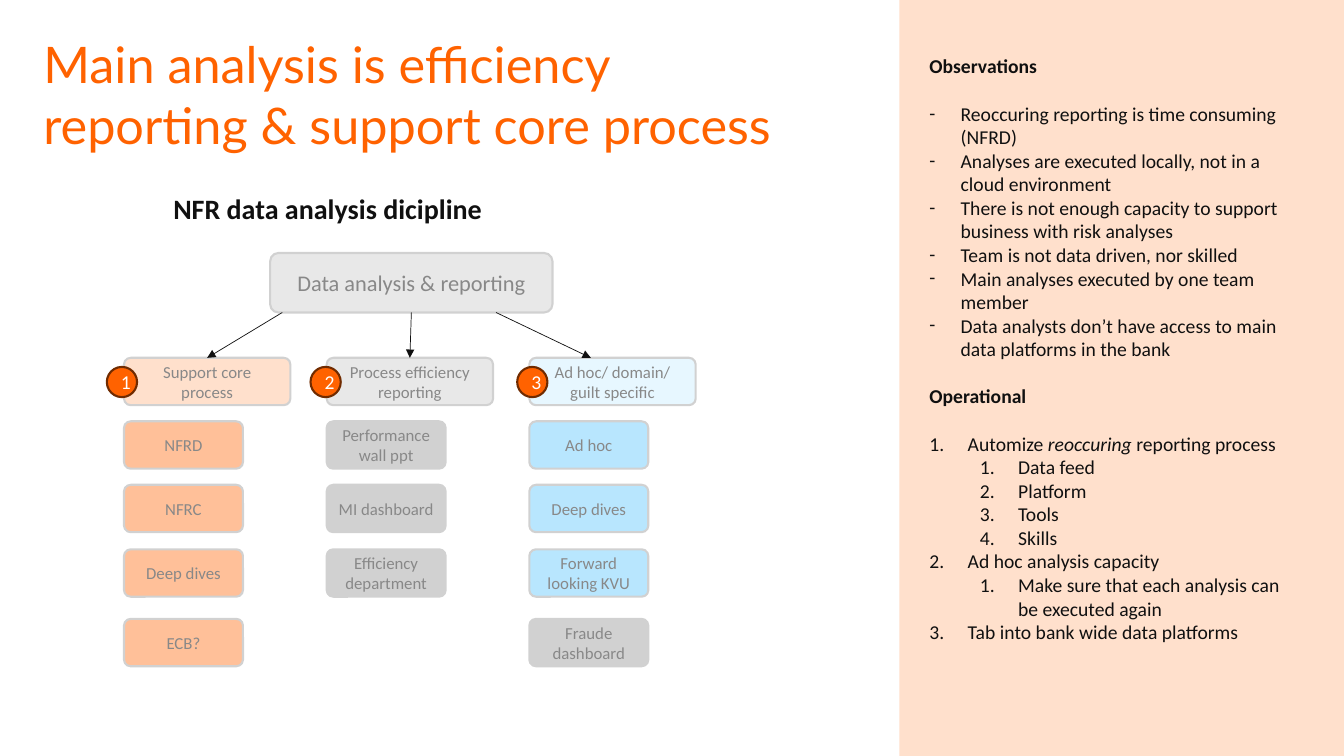
from dataclasses import dataclass

from lxml import etree
from pptx import Presentation
from pptx import util as u
from pptx.dml.color import RGBColor
from pptx.enum import shapes, text
from pptx.oxml.ns import qn


@dataclass(frozen=True)
class Theme:
    title_font: str = "Lato"
    font: str = "Calibri"
    orange: str = "FF6200"
    orange_mid: str = "FFC099"
    orange_pale: str = "FFE0CC"
    brown: str = "702B00"
    blue_mid: str = "B8E6FE"
    blue_pale: str = "E7F7FF"
    grey: str = "D1D1D1"
    grey_pale: str = "E8E8E8"
    grey_text: str = "888888"
    ink: str = "101010"
    white: str = "FFFFFF"
    title: int = 36
    heading: int = 20
    root: int = 16
    body: int = 14
    small: int = 12
    line_gap: int = 17


class SlideBuilder:
    def __init__(self, slide, theme):
        self.slide = slide
        self.theme = theme

    def style(self, paragraph, size, color, bold=False, font=None):
        for run in paragraph.runs:
            run.font.name = font or self.theme.font
            run.font.size = u.Pt(size)
            run.font.bold = bold
            run.font.color.rgb = RGBColor.from_string(color)

    def title(self, wording, left, top, width, height):
        title = self.slide.shapes.title
        title.left, title.top = u.Inches(left), u.Inches(top)
        title.width, title.height = u.Inches(width), u.Inches(height)
        frame = title.text_frame
        frame.text = wording
        frame.word_wrap = True
        frame.vertical_anchor = text.MSO_ANCHOR.TOP
        frame.paragraphs[0].alignment = text.PP_ALIGN.LEFT
        self.style(frame.paragraphs[0], self.theme.title, self.theme.orange,
                   font=self.theme.title_font)

    def text_box(self, left, top, width, height, anchor=text.MSO_ANCHOR.TOP):
        box = self.slide.shapes.add_textbox(
            u.Inches(left), u.Inches(top), u.Inches(width), u.Inches(height))
        box.text_frame.word_wrap = True
        box.text_frame.vertical_anchor = anchor
        return box.text_frame

    def heading(self, wording, left, top, width, height):
        frame = self.text_box(left, top, width, height, text.MSO_ANCHOR.BOTTOM)
        frame.text = wording
        self.style(frame.paragraphs[0], self.theme.heading, self.theme.ink, bold=True)

    def shape(self, kind, left, top, width, height, fill, line=None):
        shape = self.slide.shapes.add_shape(
            kind, u.Inches(left), u.Inches(top), u.Inches(width), u.Inches(height))
        shape.shadow.inherit = False
        shape.fill.solid()
        shape.fill.fore_color.rgb = RGBColor.from_string(fill)
        if line:
            shape.line.color.rgb = RGBColor.from_string(line)
            shape.line.width = u.Pt(1.5)
        else:
            shape.line.fill.background()
        return shape

    def label(self, shape, wording, size, color, inset_left, inset_right):
        frame = shape.text_frame
        frame.text = wording
        frame.word_wrap = True
        frame.vertical_anchor = text.MSO_ANCHOR.MIDDLE
        frame.margin_left, frame.margin_right = u.Inches(inset_left), u.Inches(inset_right)
        frame.margin_top = frame.margin_bottom = 0
        frame.paragraphs[0].alignment = text.PP_ALIGN.CENTER
        self.style(frame.paragraphs[0], size, color)

    def box(self, wording, left, top, width, height, fill, size, inset=0.05):
        box = self.shape(shapes.MSO_SHAPE.ROUNDED_RECTANGLE, left, top, width, height,
                         fill, self.theme.grey)
        box.adjustments[0] = 0.14
        self.label(box, wording, size, self.theme.grey_text, inset, inset)
        return box

    def badge(self, number, left, top, size):
        badge = self.shape(shapes.MSO_SHAPE.OVAL, left, top, size, size,
                           self.theme.orange, self.theme.brown)
        self.label(badge, str(number), self.theme.body, self.theme.white, 0.08, 0)

    def arrow(self, start, end):
        arrow = self.slide.shapes.add_connector(
            shapes.MSO_CONNECTOR.STRAIGHT, *(u.Inches(v) for v in (*start, *end)))
        arrow.line.color.rgb = RGBColor.from_string(self.theme.ink)
        arrow.line.width = u.Pt(0.5)
        etree.SubElement(arrow.line._get_or_add_ln(), qn("a:tailEnd"), type="triangle")
        etree.SubElement(arrow._element.spPr, qn("a:effectLst"))
        return arrow

    def paragraph(self, frame, parts, bold=False, gap=False):
        first = frame.paragraphs[0]
        paragraph = frame.add_paragraph() if first.runs else first
        for wording, italic in parts:
            run = paragraph.add_run()
            run.text = wording
            run.font.italic = italic
        self.style(paragraph, self.theme.body, self.theme.ink, bold)
        paragraph.space_before = u.Pt(self.theme.line_gap if gap else 0)
        return paragraph

    def bullet(self, paragraph, margin, hanging, tag, **marker):
        properties = paragraph._p.get_or_add_pPr()
        properties.set("marL", str(u.Inches(margin)))
        properties.set("indent", str(-u.Inches(hanging)))
        etree.SubElement(properties, qn("a:buFont"), typeface=self.theme.font)
        etree.SubElement(properties, qn(tag), **marker)

    def dash(self, frame, wording, gap):
        paragraph = self.paragraph(frame, [(wording, False)], gap=gap)
        self.bullet(paragraph, 0.31, 0.31, "a:buChar", char="-")

    def numbered(self, frame, parts, level, start, gap):
        paragraph = self.paragraph(frame, parts, gap=gap)
        paragraph.level = level
        marker = {"type": "arabicPeriod"}
        if start > 1:
            marker["startAt"] = str(start)
        self.bullet(paragraph, 0.38 + 0.5 * level, 0.38, "a:buAutoNum", **marker)


OBSERVATIONS = [
    "Reoccuring reporting is time consuming (NFRD)",
    "Analyses are executed locally, not in a cloud environment",
    "There is not enough capacity to support business with risk analyses",
    "Team is not data driven, nor skilled",
    "Main analyses executed by one team member",
    "Data analysts don’t have access to main data platforms in the bank",
]
OPERATIONAL = [
    (0, 1, [("Automize ", False), ("reoccuring", True), (" reporting process", False)]),
    (1, 1, [("Data feed", False)]),
    (1, 1, [("Platform", False)]),
    (1, 1, [("Tools", False)]),
    (1, 1, [("Skills", False)]),
    (0, 2, [("Ad hoc analysis capacity", False)]),
    (1, 1, [("Make sure that each analysis can be executed again", False)]),
    (0, 2, [("Tab into bank wide data platforms", False)]),
]
TOPIC_TOPS = (4.18, 4.81, 5.45, 6.14)


def main():
    theme = Theme()
    disciplines = [
        ("Support core process", theme.orange_pale, 1.06,
         [(name, theme.orange_mid) for name in ("NFRD", "NFRC", "Deep dives", "ECB?")]),
        ("Process efficiency reporting", theme.grey_pale, 3.08,
         [(name, theme.grey) for name in
          ("Performance wall ppt", "MI dashboard", "Efficiency department")]),
        ("Ad hoc/ domain/ guilt specific", theme.blue_pale, 5.13,
         [(name, theme.blue_mid) for name in ("Ad hoc", "Deep dives", "Forward looking KVU")]
         + [("Fraude dashboard", theme.grey)]),
    ]
    deck = Presentation()
    deck.slide_width, deck.slide_height = u.Inches(13.33), u.Inches(7.5)
    page = SlideBuilder(deck.slides.add_slide(deck.slide_layouts[5]), theme)

    page.title("Main analysis is efficiency reporting & support core process",
               0.33, 0.28, 7.45, 1.92)
    page.heading("NFR data analysis dicipline", 1.62, 1.86, 5.65, 0.42)
    root = page.box("Data analysis & reporting", 2.68, 2.51, 2.8, 0.59,
                    theme.grey_pale, theme.root)

    headers = []
    for column, (name, fill, badge_left, topics) in enumerate(disciplines):
        left = 1.23 + 2.01 * column
        headers.append(page.box(name, left, 3.55, 1.65, 0.47, fill, theme.small, inset=0.15))
        page.badge(column + 1, badge_left, 3.64, 0.3)
        for (topic, topic_fill), top in zip(topics, TOPIC_TOPS):
            page.box(topic, left, top, 1.18, 0.47, topic_fill, theme.small)

    support, efficiency, _ = headers
    page.arrow((2.8, 3.1), (2.05, 3.55)).end_connect(support, 0)
    to_efficiency = page.arrow((4.08, 3.1), (4.07, 3.55))
    to_efficiency.begin_connect(root, 2)
    to_efficiency.end_connect(efficiency, 0)
    page.arrow((4.92, 3.1), (5.86, 3.55))

    page.shape(shapes.MSO_SHAPE.RECTANGLE, 8.92, 0, 4.41, 7.5, theme.orange_pale)
    notes = page.text_box(9.12, 0.49, 3.87, 6.23)
    page.paragraph(notes, [("Observations", False)], bold=True)
    for index, observation in enumerate(OBSERVATIONS):
        page.dash(notes, observation, gap=index == 0)
    page.paragraph(notes, [("Operational", False)], bold=True, gap=True)
    for index, (level, start, parts) in enumerate(OPERATIONAL):
        page.numbered(notes, parts, level, start, gap=index == 0)

    deck.save("out.pptx")


if __name__ == "__main__":
    main()
